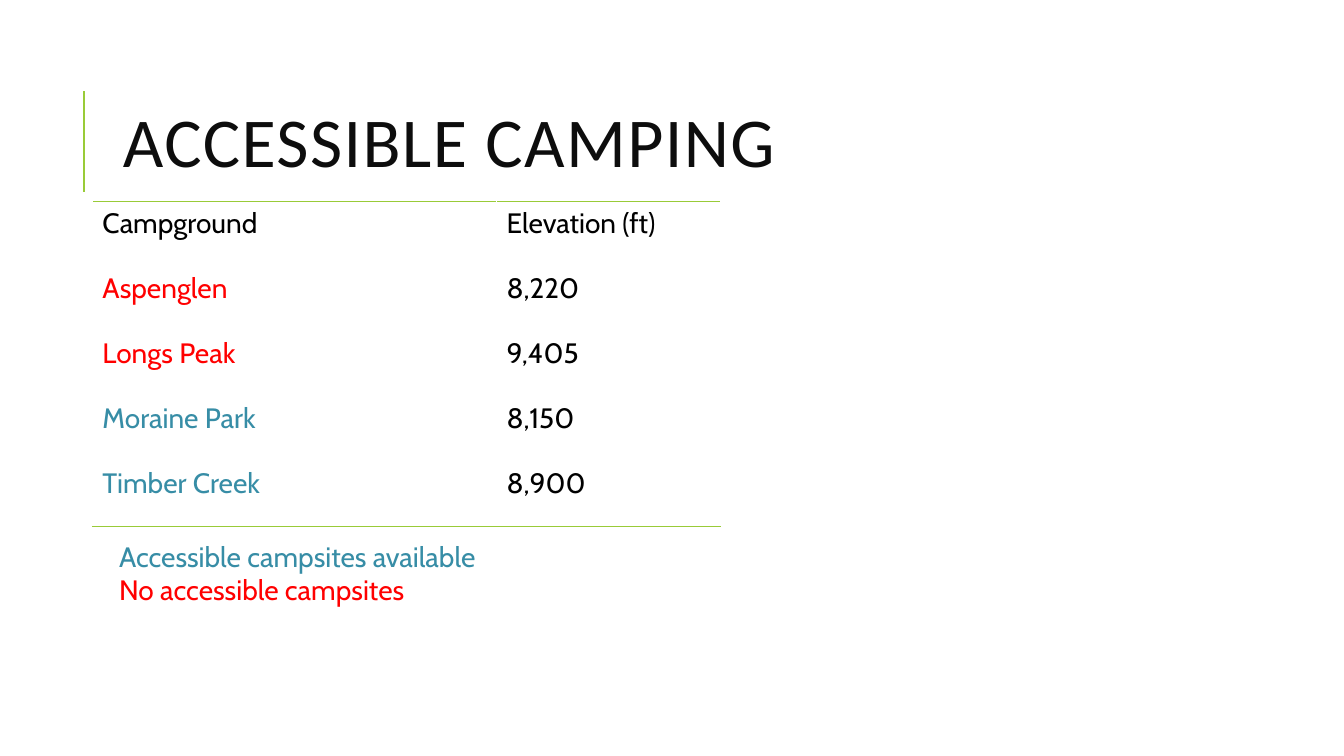
from pptx import Presentation
from pptx import util as u
from pptx.dml.color import RGBColor
from pptx.enum import shapes, text
from pptx.oxml import parse_xml
from pptx.oxml.ns import nsdecls
from lxml import etree

GREEN = RGBColor(0x99, 0xCB, 0x38)
INK = RGBColor(0x0D, 0x0D, 0x0D)
BLACK = RGBColor(0, 0, 0)
RED = RGBColor(0xFF, 0, 0)
TEAL = RGBColor(0x37, 0x8D, 0xA6)

COLUMNS, ROWS = 160, 90


class CampingSlide:
    heading_font, body_font = "Calibri", "Cabin"
    heading_size, body_size = 50, 20

    def __init__(self, deck):
        self.width, self.height = deck.slide_width, deck.slide_height
        self.slide = deck.slides.add_slide(deck.slide_layouts[5])

    def x(self, columns):
        return u.Emu(round(self.width * columns / COLUMNS))

    def y(self, rows):
        return u.Emu(round(self.height * rows / ROWS))

    def box(self, left, top, width, height):
        return self.x(left), self.y(top), self.x(width), self.y(height)

    def add_words(self, paragraph, words, color, font=body_font, size=body_size):
        paragraph.alignment = text.PP_ALIGN.LEFT
        run = paragraph.add_run()
        run.text = words
        run.font.name = font
        run.font.size = u.Pt(size)
        run.font.color.rgb = color
        return run

    def title(self, words, *place):
        heading = self.slide.shapes.title
        heading.left, heading.top, heading.width, heading.height = self.box(*place)
        frame = heading.text_frame
        frame.word_wrap = True
        frame.auto_size = text.MSO_AUTO_SIZE.NONE
        frame.vertical_anchor = text.MSO_ANCHOR.MIDDLE
        paragraph = frame.paragraphs[0]
        paragraph.line_spacing = 0.8
        run = self.add_words(paragraph, words, INK, self.heading_font, self.heading_size)
        run.font._element.set("spc", "100")

    def rule(self, x1, y1, x2, y2):
        accent = self.slide.shapes.add_connector(
            shapes.MSO_CONNECTOR.STRAIGHT, self.x(x1), self.y(y1), self.x(x2), self.y(y2))
        accent.line.color.rgb = GREEN
        accent.line.width = u.Pt(1.5)
        etree.SubElement(accent._element.spPr,
                         "{http://schemas.openxmlformats.org/drawingml/2006/main}effectLst")

    def border(self, cell, side):
        line = parse_xml(
            f'<a:{side} {nsdecls("a")} w="{u.Pt(1)}"><a:solidFill>'
            f'<a:srgbClr val="{GREEN}"/></a:solidFill></a:{side}>')
        cell._tc.get_or_add_tcPr().insert(0, line)

    def table(self, entries, left, top, widths, row_height):
        place = self.box(left, top, sum(widths), row_height * len(entries))
        grid = self.slide.shapes.add_table(len(entries), len(widths), *place).table
        grid.first_row = grid.horz_banding = False
        for column, width in zip(grid.columns, widths):
            column.width = self.x(width)
        for index, (campground, elevation, color) in enumerate(entries):
            grid.rows[index].height = self.y(row_height)
            for cell, words, ink in zip(grid.rows[index].cells,
                                        (campground, elevation), (color, BLACK)):
                cell.fill.background()
                self.add_words(cell.text_frame.paragraphs[0], words, ink)
                if index == 0:
                    self.border(cell, "lnT")
                if index == len(entries) - 1:
                    self.border(cell, "lnB")

    def legend(self, entries, *place):
        frame = self.slide.shapes.add_textbox(*self.box(*place)).text_frame
        frame.word_wrap = True
        frame.auto_size = text.MSO_AUTO_SIZE.SHAPE_TO_FIT_TEXT
        for index, (words, color) in enumerate(entries):
            paragraph = frame.add_paragraph() if index else frame.paragraphs[0]
            self.add_words(paragraph, words, color)


def main():
    deck = Presentation()
    deck.slide_width, deck.slide_height = u.Inches(13.33), u.Inches(7.5)
    camping = CampingSlide(deck)
    camping.rule(10, 22.8, 10, 10.8)
    camping.title("ACCESSIBLE CAMPING", 13.44, 7.7, 127.6, 19.7)
    camping.table([
        ("Campground", "Elevation (ft)", BLACK),
        ("Aspenglen", "8,220", RED),
        ("Longs Peak", "9,405", RED),
        ("Moraine Park", "8,150", TEAL),
        ("Timber Creek", "8,900", TEAL),
    ], 11, 24, (48.1, 26.65), 7.73)
    camping.legend([
        ("Accessible campsites available", TEAL),
        ("No accessible campsites", RED),
    ], 13, 63.6, 51.25, 9.25)
    deck.save("out.pptx")


if __name__ == "__main__":
    main()
